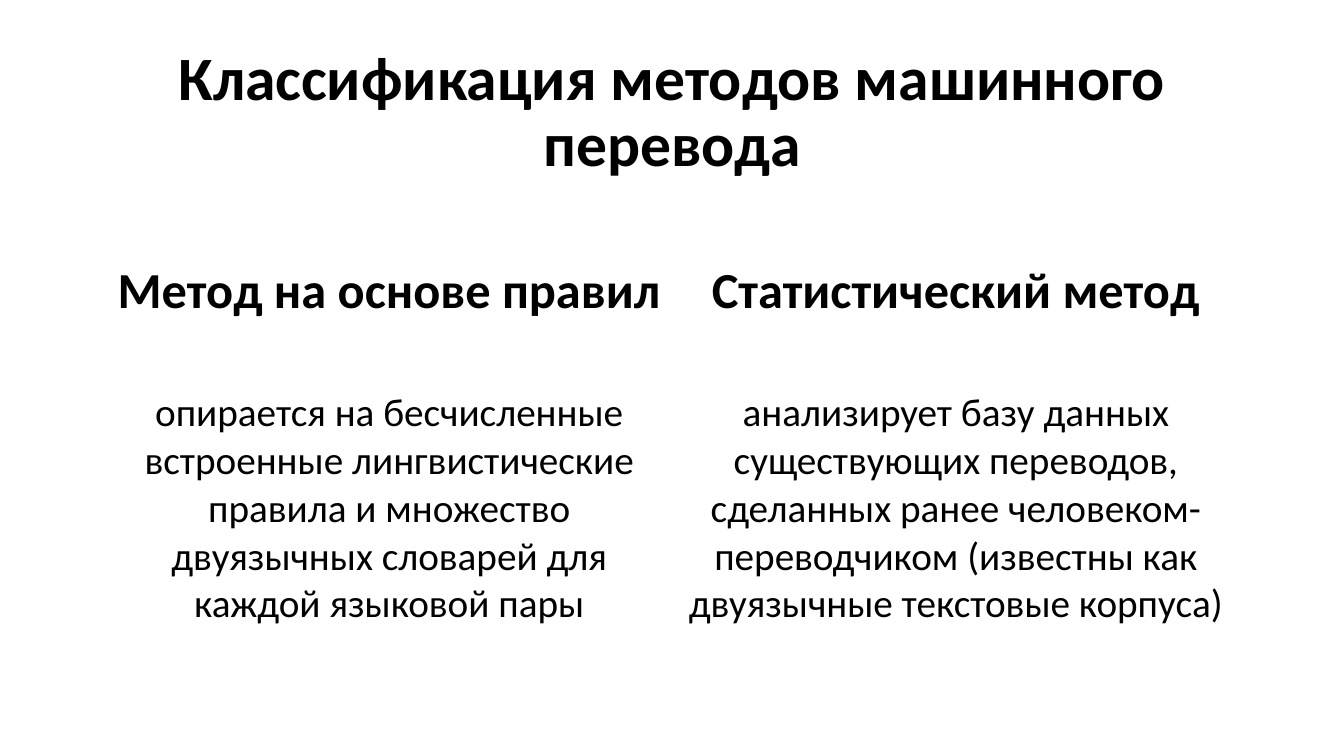
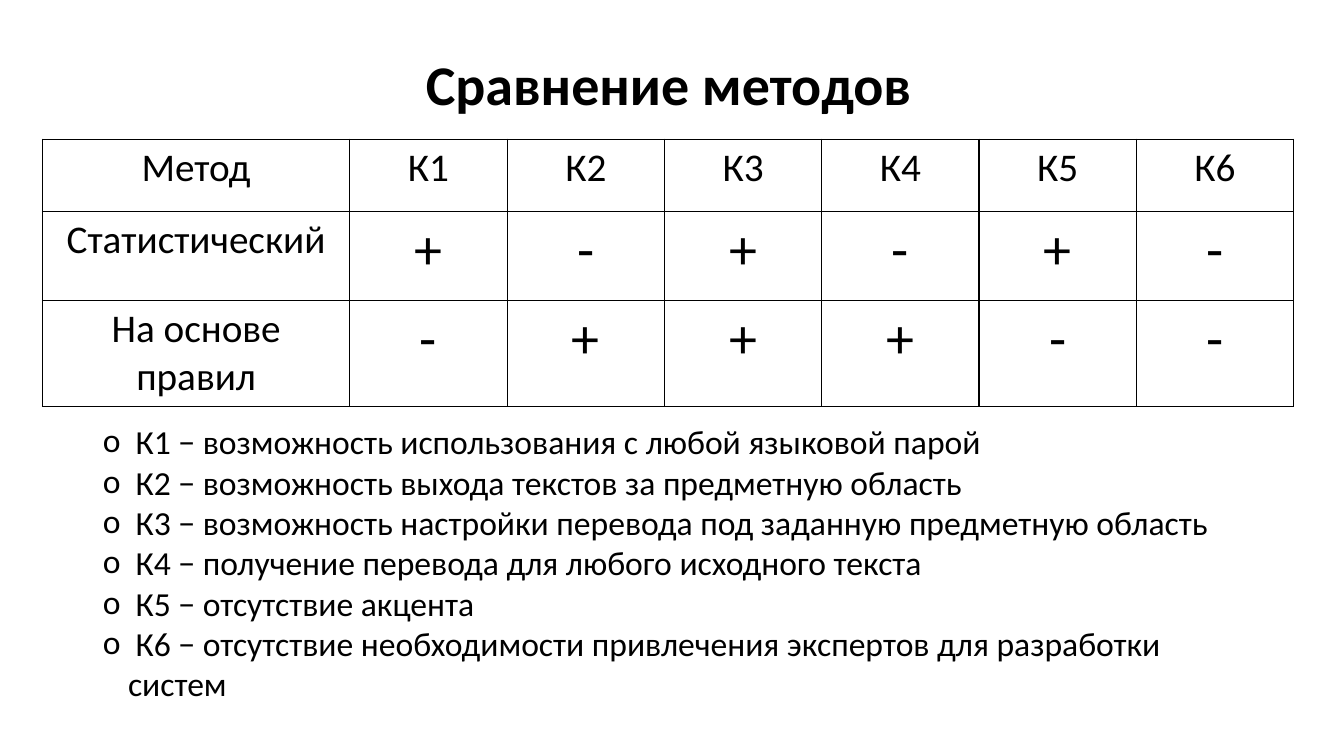
import dataclasses
import typing

import lxml.etree
import pptx
import pptx.dml.color
import pptx.enum.text
import pptx.oxml.ns
import pptx.util

# Shared look
EMU_PER_PX = 9144  # 100 px to the inch
FONT = "Calibri"
INK = "000000"
PAPER = "FFFFFF"
CENTER = pptx.enum.text.PP_ALIGN.CENTER
LEFT = pptx.enum.text.PP_ALIGN.LEFT
TOP = pptx.enum.text.MSO_ANCHOR.TOP
MIDDLE = pptx.enum.text.MSO_ANCHOR.MIDDLE
NO_FIT = pptx.enum.text.MSO_AUTO_SIZE.NONE
PLAIN_TABLE_STYLE = "{2D5ABB26-0587-4C30-8999-92F81FD0307C}"
TITLE_PARAGRAPH = {"alignment": CENTER, "line_spacing": 0.9}
CELL_PARAGRAPH = {"alignment": CENTER}
LIST_PARAGRAPH = {"alignment": LEFT, "space_before": pptx.util.Pt(0)}
LIST_INDENT = 25
TITLE_WIDTH, TITLE_HEIGHT = 1150, 145


class Box(typing.NamedTuple):
    left: int
    top: int
    width: int
    height: int


class Entry(typing.NamedTuple):
    text: str
    size: int
    bold: bool = False


@dataclasses.dataclass
class Grid:
    left: int
    top: int
    columns: list[int]
    rows: list[int]
    entries: list[list[Entry]]
    bordered: bool = False


# Content
METHODS = Grid(
    105, 253, [562] * 2, [128, 275],
    [
        [Entry("Метод на основе правил", 36, True),
         Entry("Статистический метод", 36, True)],
        [Entry("опирается на бесчисленные встроенные лингвистические правила "
               "и множество двуязычных словарей для каждой языковой пары", 28),
         Entry("анализирует базу данных существующих переводов, сделанных ранее "
               "человеком-переводчиком (известны как двуязычные текстовые корпуса)", 28)],
    ],
)
CRITERIA = [
    "возможность использования с любой языковой парой",
    "возможность выхода текстов за предметную область",
    "возможность настройки перевода под заданную предметную область",
    "получение перевода для любого исходного текста",
    "отсутствие акцента",
    "отсутствие необходимости привлечения экспертов для разработки систем",
]
CODES = [f"К{number}" for number in range(1, len(CRITERIA) + 1)]
SCORES = {"Статистический": "+-+-+-", "На основе правил": "-+++--"}
COMPARISON = Grid(
    42, 138, [305] + [156] * len(CODES), [72, 88, 72],
    [[Entry(label, 28) for label in ["Метод", *CODES]]]
    + [[Entry(method, 28), *(Entry(mark, 40) for mark in marks)]
       for method, marks in SCORES.items()],
    bordered=True,
)


# Helpers
def px(length: int) -> int:
    return pptx.util.Emu(length * EMU_PER_PX)


def rgb(value: str) -> pptx.dml.color.RGBColor:
    return pptx.dml.color.RGBColor.from_string(value)


def apply(target: typing.Any, values: dict[str, typing.Any]) -> None:
    for attribute, value in values.items():
        setattr(target, attribute, value)


def child(parent: typing.Any, tag: str, **attributes: str) -> typing.Any:
    return lxml.etree.SubElement(parent, pptx.oxml.ns.qn(tag), attributes)


def write(paragraph: typing.Any, entry: Entry, layout: dict[str, typing.Any]) -> None:
    apply(paragraph, layout)
    run = paragraph.add_run()
    run.text = entry.text
    apply(run.font, {"name": FONT, "size": pptx.util.Pt(entry.size), "bold": entry.bold})
    run.font.color.rgb = rgb(INK)


def place(holder: typing.Any, box: Box, anchor: typing.Any) -> None:
    apply(holder, {side: px(length) for side, length in box._asdict().items()})
    apply(holder.text_frame,
          {"word_wrap": True, "auto_size": NO_FIT, "vertical_anchor": anchor})


def add_titled_slide(deck: typing.Any, layout: int, title: Entry,
                     left: int, top: int) -> typing.Any:
    slide = deck.slides.add_slide(deck.slide_layouts[layout])
    slide.background.fill.solid()
    slide.background.fill.fore_color.rgb = rgb(PAPER)
    heading = slide.shapes.title
    place(heading, Box(left, top, TITLE_WIDTH, TITLE_HEIGHT), MIDDLE)
    write(heading.text_frame.paragraphs[0], title, TITLE_PARAGRAPH)
    return slide


def add_borders(cell: typing.Any) -> None:
    properties = cell._tc.get_or_add_tcPr()
    for side in ("a:lnL", "a:lnR", "a:lnT", "a:lnB"):
        line = child(properties, side, w=str(pptx.util.Pt(1)))
        child(child(line, "a:solidFill"), "a:srgbClr", val=INK)


def add_grid(slide: typing.Any, grid: Grid) -> None:
    table = slide.shapes.add_table(
        len(grid.rows), len(grid.columns), px(grid.left), px(grid.top),
        px(sum(grid.columns)), px(sum(grid.rows))).table
    apply(table, {"first_row": False, "horz_banding": False})
    table._tbl.tblPr.find(pptx.oxml.ns.qn("a:tableStyleId")).text = PLAIN_TABLE_STYLE
    for column, width in zip(table.columns, grid.columns):
        column.width = px(width)
    for row, height, entries in zip(table.rows, grid.rows, grid.entries):
        row.height = px(height)
        for cell, entry in zip(row.cells, entries):
            if grid.bordered:
                add_borders(cell)
            cell.fill.background()
            write(cell.text_frame.paragraphs[0], entry, CELL_PARAGRAPH)


def add_bullet(paragraph: typing.Any) -> None:
    properties = paragraph._p.get_or_add_pPr()
    properties.set("marL", str(px(LIST_INDENT)))
    properties.set("indent", str(px(-LIST_INDENT)))
    child(child(properties, "a:buClr"), "a:srgbClr", val=INK)
    child(properties, "a:buFont", typeface=FONT)
    child(properties, "a:buChar", char="o")


# Slides
def build_classification(deck: typing.Any) -> None:
    title = Entry("Классификация методов машинного перевода", 44, True)
    slide = add_titled_slide(deck, 5, title, 92, 40)
    add_grid(slide, METHODS)


def build_comparison(deck: typing.Any) -> None:
    slide = add_titled_slide(deck, 1, Entry("Сравнение методов", 40, True), 88, 14)
    add_grid(slide, COMPARISON)
    legend = slide.placeholders[1]
    place(legend, Box(92, 413, 1150, 397), TOP)
    frame = legend.text_frame
    for index, (code, meaning) in enumerate(zip(CODES, CRITERIA)):
        paragraph = frame.add_paragraph() if index else frame.paragraphs[0]
        write(paragraph, Entry(f" {code} − {meaning}", 24), LIST_PARAGRAPH)
        add_bullet(paragraph)


def main() -> None:
    deck = pptx.Presentation()
    apply(deck, {"slide_width": px(1333), "slide_height": px(750)})
    build_classification(deck)
    build_comparison(deck)
    deck.save("out.pptx")


if __name__ == "__main__":
    main()
